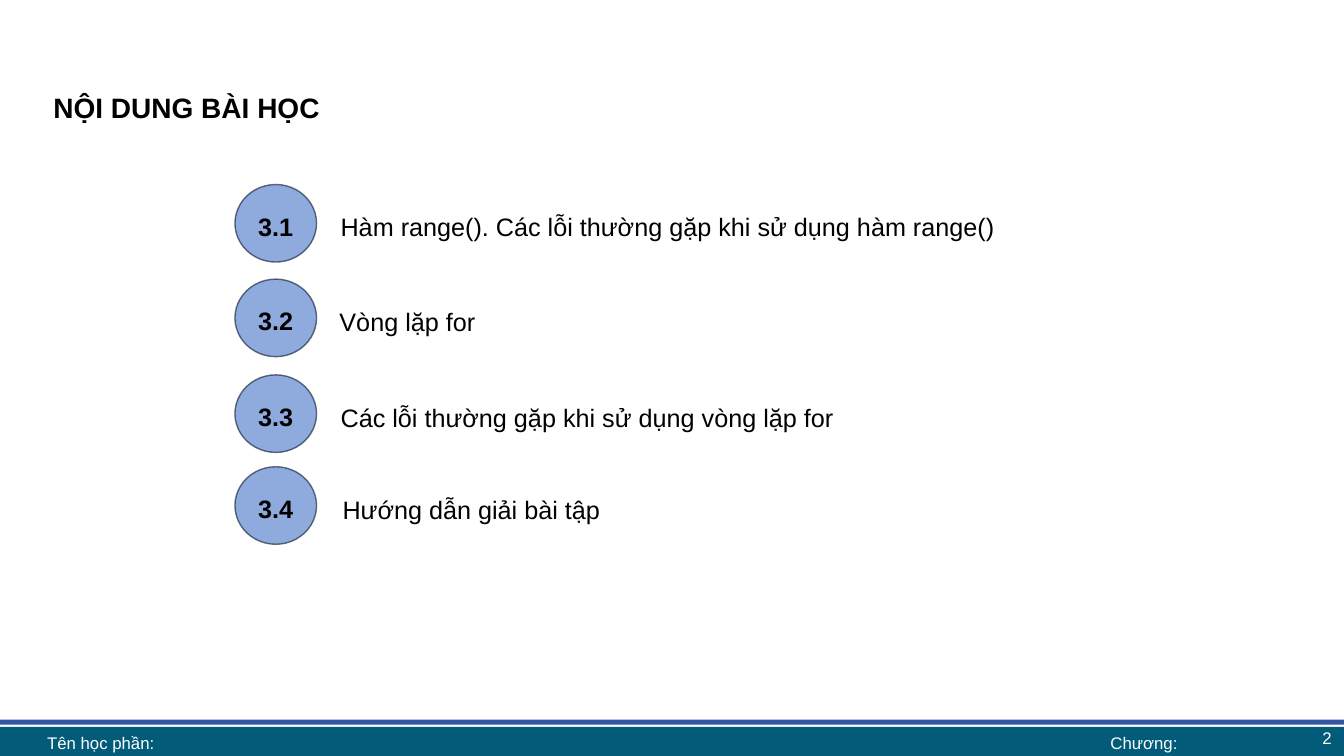
from dataclasses import dataclass

from lxml.etree import SubElement
from pptx import Presentation
from pptx.dml.color import RGBColor
from pptx.enum.shapes import MSO_SHAPE
from pptx.enum.text import MSO_ANCHOR, PP_ALIGN
from pptx.oxml.ns import qn
from pptx.shapes.autoshape import Shape
from pptx.slide import Slide
from pptx.util import Length, Pt

WIDTH, HEIGHT = 960, 540
COLORS = {
    "black": "000000",
    "white": "FFFFFF",
    "teal": "025B79",
    "blue": "3256A4",
    "disc": "8FAADC",
    "rim": "08172E",
}


@dataclass(frozen=True)
class Box:
    left: float
    top: float
    width: float
    height: float

    def place(self) -> tuple[Length, ...]:
        return tuple(Pt(v) for v in (self.left, self.top, self.width, self.height))


@dataclass(frozen=True)
class Topic:
    label: str
    title: str
    top: float
    left: float
    width: float


TOPICS = [
    Topic("3.1", "Hàm range(). Các lỗi thường gặp khi sử dụng hàm range()", 131.8, 236.2, 545),
    Topic("3.2", "Vòng lặp for", 199.4, 235.4, 548.6),
    Topic("3.3", "Các lỗi thường gặp khi sử dụng vòng lặp for", 267.8, 236.2, 454.3),
    Topic("3.4", "Hướng dẫn giải bài tập", 333.4, 237.6, 446.4),
]
DISC_LEFT, DISC_WIDTH, DISC_HEIGHT = 167.8, 58.3, 55.4
TITLE_DROP = 12.4


def tint(name: str) -> RGBColor:
    return RGBColor.from_string(COLORS[name])


def write(shape: Shape, text: str, *, size: float = 12, color: str = "white",
          bold: bool = False, align: PP_ALIGN = PP_ALIGN.LEFT,
          anchor: MSO_ANCHOR = MSO_ANCHOR.MIDDLE,
          pitch: float | Length | None = None, pad: float = 3.6) -> None:
    """Fill a shape with one paragraph; pitch is its line spacing."""
    frame = shape.text_frame
    frame.word_wrap = True
    frame.vertical_anchor = anchor
    frame.margin_top = frame.margin_bottom = Pt(pad)
    para = frame.paragraphs[0]
    para.alignment = align
    para.line_spacing = pitch
    run = para.add_run()
    run.text = text
    run.font.name = "Arial"
    run.font.size = Pt(size)
    run.font.bold = bold
    run.font.color.rgb = tint(color)


def add_text(slide: Slide, box: Box, text: str, **style) -> None:
    write(slide.shapes.add_textbox(*box.place()), text, **style)


def add_form(slide: Slide, kind: MSO_SHAPE, box: Box, fill: str) -> Shape:
    """Add a filled shape with neither line nor shadow."""
    shape = slide.shapes.add_shape(kind, *box.place())
    shape.shadow.inherit = False
    shape.fill.solid()
    shape.fill.fore_color.rgb = tint(fill)
    shape.line.fill.background()
    return shape


def add_topic(slide: Slide, topic: Topic) -> None:
    box = Box(DISC_LEFT, topic.top, DISC_WIDTH, DISC_HEIGHT)
    disc = add_form(slide, MSO_SHAPE.OVAL, box, "disc")
    disc.line.width = Pt(1)
    disc.line.color.rgb = tint("rim")
    rim = disc.line.fill._xPr.find(qn("a:solidFill"))[0]
    SubElement(rim, qn("a:alpha"), val="60000")
    write(disc, topic.label, size=18, color="black", bold=True,
          align=PP_ALIGN.CENTER, pitch=1.2)
    add_text(slide, Box(topic.left, topic.top + TITLE_DROP, topic.width, 30.2),
             topic.title, size=18, color="black", align=PP_ALIGN.JUSTIFY,
             anchor=MSO_ANCHOR.TOP, pitch=Pt(25))


def add_footer(slide: Slide) -> None:
    top, height = 519.1, 22.3
    add_form(slide, MSO_SHAPE.RECTANGLE, Box(0, top, WIDTH, height), "teal")
    add_form(slide, MSO_SHAPE.RECTANGLE, Box(0, 514.1, WIDTH, 3.6), "blue")
    add_text(slide, Box(742.3, 514.1, 216, 25.2), "2", align=PP_ALIGN.RIGHT)
    add_text(slide, Box(763.2, top, 108, height), "Chương:",
             align=PP_ALIGN.CENTER, pad=0)
    add_text(slide, Box(26.6, top, 737.3, height), "Tên học phần:", pad=0)


def main() -> None:
    deck = Presentation()
    deck.slide_width, deck.slide_height = Pt(WIDTH), Pt(HEIGHT)
    slide = deck.slides.add_slide(deck.slide_layouts[6])
    add_footer(slide)
    add_text(slide, Box(31, 56.2, 897.8, 62.6), "NỘI DUNG BÀI HỌC", size=20,
             color="black", bold=True, align=PP_ALIGN.JUSTIFY,
             anchor=MSO_ANCHOR.TOP, pitch=1.2)
    for topic in TOPICS:
        add_topic(slide, topic)
    deck.save("out.pptx")


if __name__ == "__main__":
    main()
